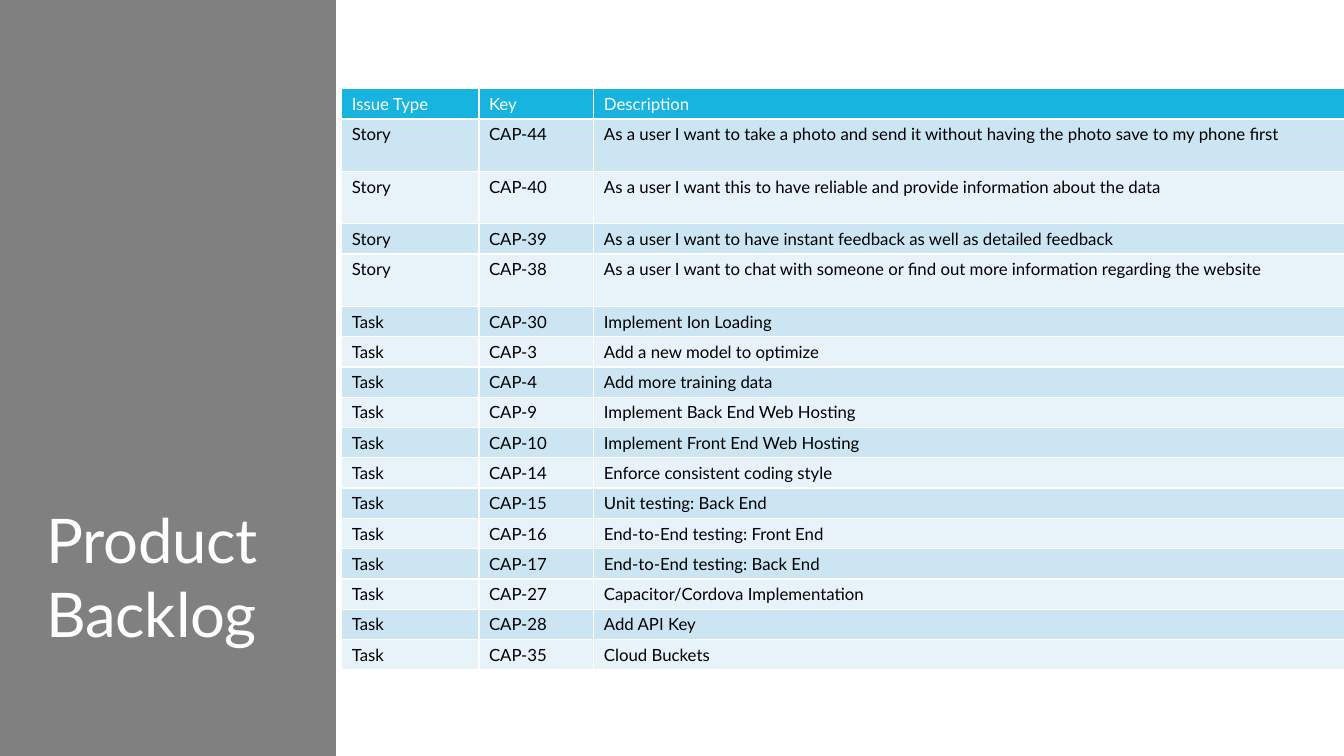
from pptx import Presentation
from pptx.dml.color import RGBColor
from pptx.enum.shapes import MSO_SHAPE
from pptx.enum.text import MSO_ANCHOR, MSO_AUTO_SIZE, PP_ALIGN
from pptx.util import Inches, Pt

WIDE, HIGH = 13.33, 7.5
FONT = "Lato"
COLORS = {
    "panel": "808080",
    "head": "17B4DF",
    "odd": "CCE5F3",
    "even": "E8F2F9",
    "light": "FFFFFF",
    "dark": "000000",
}
COLS = [1.36, 1.14, 7.45]
LOW, TALL = 0.3, 0.52
TALL_KEYS = {"CAP-44", "CAP-40", "CAP-38"}
HEADS = ("Issue Type", "Key", "Description")
STORIES = [
    ("CAP-44", "As a user I want to take a photo and send it without having the photo save to my phone first"),
    ("CAP-40", "As a user I want this to have reliable and provide information about the data"),
    ("CAP-39", "As a user I want to have instant feedback as well as detailed feedback"),
    ("CAP-38", "As a user I want to chat with someone or find out more information regarding the website"),
]
TASKS = [
    ("CAP-30", "Implement Ion Loading"),
    ("CAP-3", "Add a new model to optimize"),
    ("CAP-4", "Add more training data"),
    ("CAP-9", "Implement Back End Web Hosting"),
    ("CAP-10", "Implement Front End Web Hosting"),
    ("CAP-14", "Enforce consistent coding style"),
    ("CAP-15", "Unit testing: Back End"),
    ("CAP-16", "End-to-End testing: Front End"),
    ("CAP-17", "End-to-End testing: Back End"),
    ("CAP-27", "Capacitor/Cordova Implementation"),
    ("CAP-28", "Add API Key"),
    ("CAP-35", "Cloud Buckets"),
]


def color(name):
    return RGBColor.from_string(COLORS[name])


def paint(shape, name):
    shape.fill.solid()
    shape.fill.fore_color.rgb = color(name)


def style(para, size, name):
    font = para.font
    font.name, font.size, font.bold = FONT, Pt(size), False
    font.color.rgb = color(name)


def add_panel(slide):
    panel = slide.shapes.add_shape(
        MSO_SHAPE.RECTANGLE, 0, 0, Inches(WIDE / 4), Inches(HIGH))
    panel.shadow.inherit = False
    paint(panel, "panel")
    panel.line.fill.background()
    slide.shapes.title.element.addprevious(panel.element)


def set_title(slide, text):
    title = slide.shapes.title
    title.left, title.top = Inches(0.36), Inches(1.09)
    title.width, title.height = Inches(2.61), Inches(5.41)
    frame = title.text_frame
    frame.text = text
    frame.word_wrap = True
    frame.auto_size = MSO_AUTO_SIZE.NONE
    frame.vertical_anchor = MSO_ANCHOR.BOTTOM
    para = frame.paragraphs[0]
    para.alignment = PP_ALIGN.LEFT
    style(para, 44, "light")
    para.runs[0].font._element.set("spc", "-20")


def add_backlog(slide):
    rows = [HEADS]
    rows += [("Story", *item) for item in STORIES]
    rows += [("Task", *item) for item in TASKS]
    highs = [TALL if row[1] in TALL_KEYS else LOW for row in rows]
    table = slide.shapes.add_table(
        len(rows), len(COLS), Inches(3.39), Inches(0.88),
        Inches(sum(COLS)), Inches(sum(highs))).table
    for col, width in zip(table.columns, COLS):
        col.width = Inches(width)
    for i, (row, high) in enumerate(zip(rows, highs)):
        table.rows[i].height = Inches(high)
        fill = "head" if i == 0 else "odd" if i % 2 else "even"
        for j, text in enumerate(row):
            cell = table.cell(i, j)
            cell.text = text
            paint(cell, fill)
            style(cell.text_frame.paragraphs[0], 12, "dark" if i else "light")


def main():
    deck = Presentation()
    deck.slide_width, deck.slide_height = Inches(WIDE), Inches(HIGH)
    slide = deck.slides.add_slide(deck.slide_layouts[5])
    add_panel(slide)
    set_title(slide, "Product Backlog")
    add_backlog(slide)
    deck.save("out.pptx")


if __name__ == "__main__":
    main()
